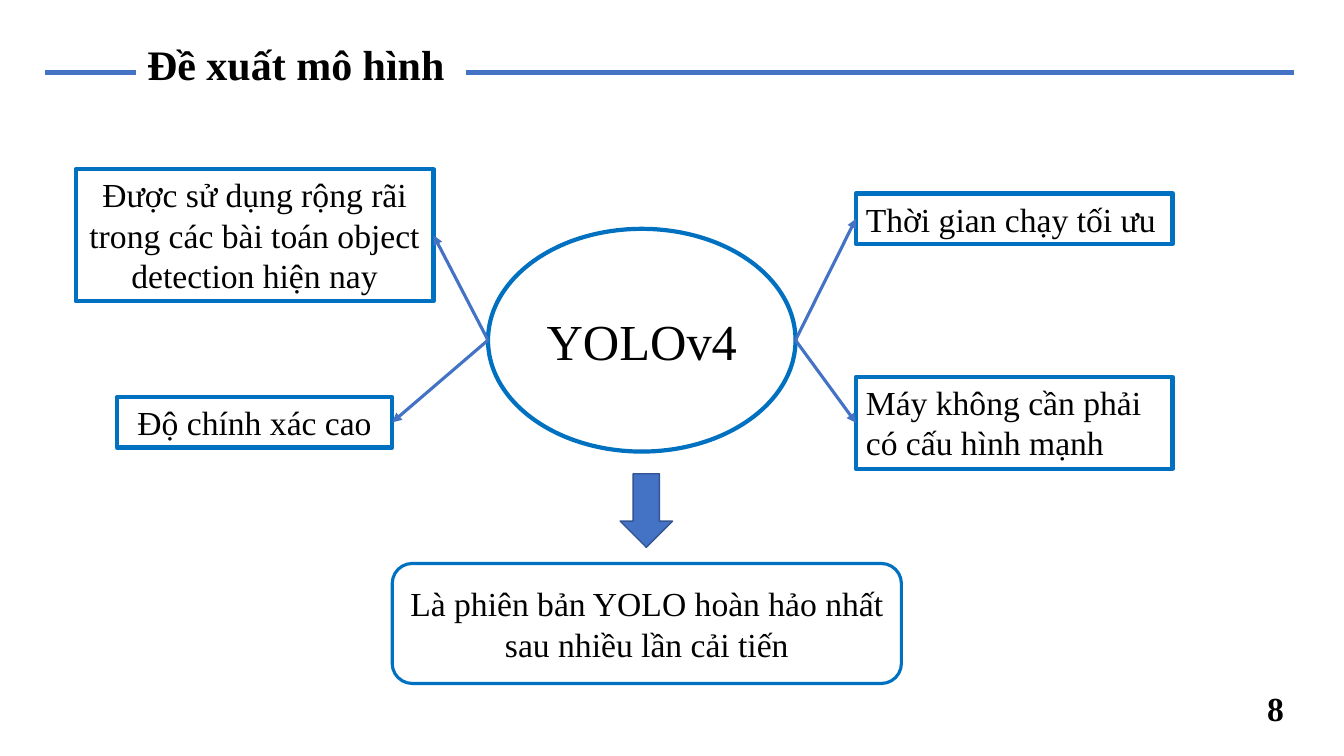
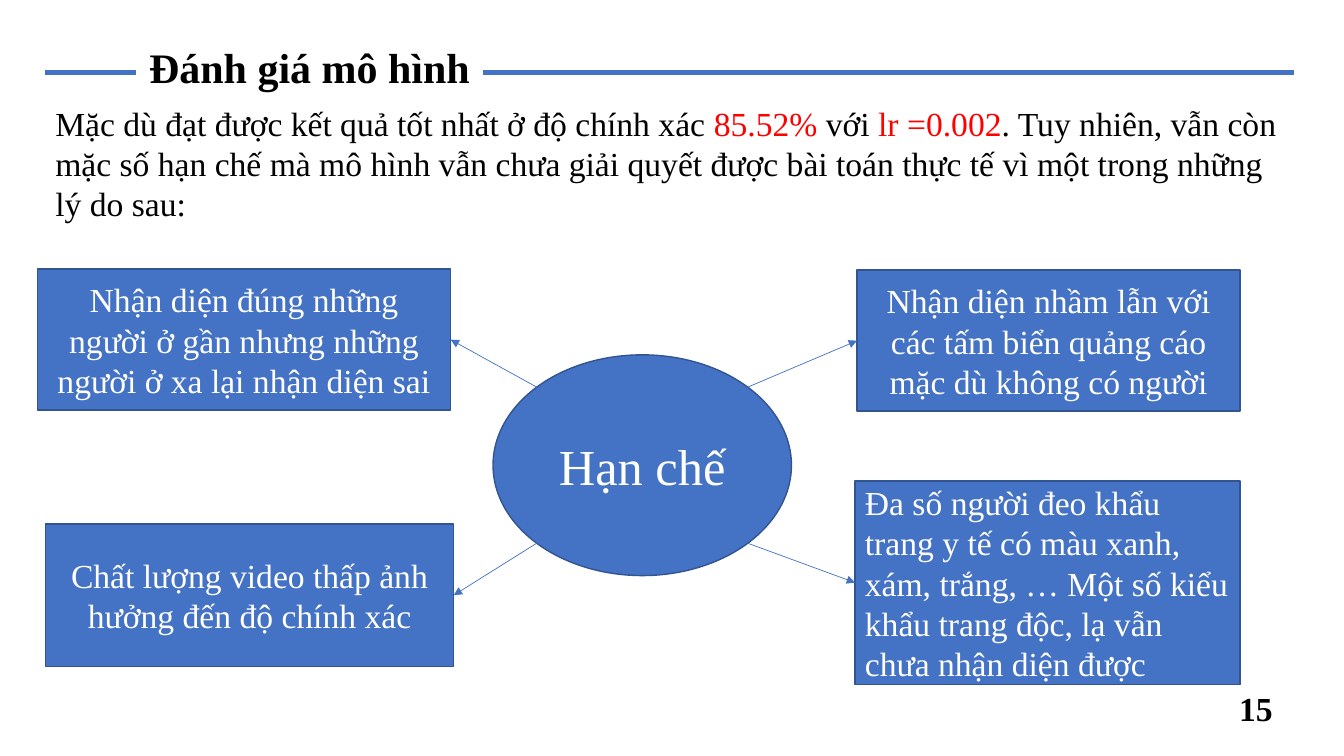
import math
from dataclasses import dataclass

from lxml import etree
from pptx import Presentation
from pptx import util as u
from pptx.dml.color import RGBColor
from pptx.enum import shapes, text
from pptx.oxml.ns import qn

SHAPE = shapes.MSO_SHAPE
ANCHOR = text.MSO_ANCHOR
ALIGN = text.PP_ALIGN


@dataclass(frozen=True)
class Theme:
    font: str = "Times New Roman"
    black: str = "000000"
    white: str = "FFFFFF"
    red: str = "FF0000"
    accent: str = "4472C4"
    edge: str = "325491"
    outline: str = "0070C0"
    title: int = 30
    body: int = 24
    hub: int = 36


T = Theme()
OUTLINED = {"fill": None, "line": T.outline, "width": 3, "color": T.black}
FILLED = {"fill": T.accent, "line": T.edge, "width": 1, "color": T.white}


def set_attrs(obj, values):
    for name, value in values.items():
        setattr(obj, name, value)


def write(sp, runs, size=T.body, color=T.black, bold=False,
          align=ALIGN.LEFT, anchor=ANCHOR.TOP, spacing=1.0):
    tf = sp.text_frame
    set_attrs(tf, {"word_wrap": True, "vertical_anchor": anchor,
                   "auto_size": text.MSO_AUTO_SIZE.NONE})
    p = tf.paragraphs[0]
    set_attrs(p, {"alignment": align, "line_spacing": spacing})
    for content, tint in ([(runs, color)] if isinstance(runs, str) else runs):
        r = p.add_run()
        r.text = content
        set_attrs(r.font, {"name": T.font, "size": u.Pt(size), "bold": bold})
        r.font.color.rgb = RGBColor.from_string(tint)


def add_text(s, box, runs, **fmt):
    sp = s.shapes.add_textbox(*map(u.Inches, box))
    write(sp, runs, **fmt)


def add_box(s, kind, box, look, content="", **fmt):
    sp = s.shapes.add_shape(kind, *map(u.Inches, box))
    sp.shadow.inherit = False
    if look["fill"]:
        sp.fill.solid()
        sp.fill.fore_color.rgb = RGBColor.from_string(look["fill"])
    else:
        sp.fill.background()
    sp.line.color.rgb = RGBColor.from_string(look["line"])
    sp.line.width = u.Pt(look["width"])
    if content:
        write(sp, content, **{"color": look["color"], "align": ALIGN.CENTER,
                              "anchor": ANCHOR.MIDDLE, **fmt})
    return sp


def add_line(s, start, end, width):
    cx = s.shapes.add_connector(shapes.MSO_CONNECTOR.STRAIGHT,
                                *map(u.Inches, (*start, *end)))
    cx.line.color.rgb = RGBColor.from_string(T.accent)
    cx.line.width = u.Pt(width)
    etree.SubElement(cx._element.spPr, qn("a:effectLst"))
    return cx


def add_arrow(s, start, target, side, width):
    cx = add_line(s, start, start, width)
    cx.end_connect(target, side)
    etree.SubElement(cx.line._get_or_add_ln(), qn("a:tailEnd"), type="triangle")


def add_hub(s, box, look, label, angle, width, left, right):
    add_box(s, SHAPE.OVAL, box, look, label, size=T.hub)
    x, y, w, h = box
    dx = w / 2 * math.cos(math.radians(angle))
    dy = h / 2 * math.sin(math.radians(angle))
    for direction, side, notes in ((-1, 3, left), (1, 1, right)):
        for vertical, (note_box, content, fmt) in zip((-1, 1), notes):
            sp = add_box(s, SHAPE.RECTANGLE, note_box, look, content, **fmt)
            start = (x + w / 2 + direction * dx, y + h / 2 + vertical * dy)
            add_arrow(s, start, sp, side, width)


def add_slide(prs, title, title_box, rule_start, number, number_box):
    s = prs.slides.add_slide(prs.slide_layouts.get_by_name("Title Only"))
    sp = s.shapes.title
    set_attrs(sp, dict(zip(("left", "top", "width", "height"),
                           map(u.Inches, title_box))))
    write(sp, title, size=T.title, bold=True, align=ALIGN.CENTER,
          anchor=ANCHOR.BOTTOM, spacing=0.9)
    for x1, x2 in ((0.45, 1.35), (rule_start, 12.83)):
        add_line(s, (x1, 0.72), (x2, 0.72), 3)
    add_text(s, number_box, number, bold=True)
    return s


def proposal_slide(prs):
    s = add_slide(prs, "Đề xuất mô hình", (1.16, 0.24, 3.55, 0.7), 4.62,
                  "8", (12.47, 6.78, 0.37, 0.5))
    top = {"anchor": ANCHOR.TOP}
    top_left = {**top, "align": ALIGN.LEFT}
    add_hub(s, (4.84, 2.27, 3.05, 2.21), OUTLINED, "YOLOv4", 0, 2.25,
            left=[((0.75, 1.68, 3.55, 1.31),
                   "Được sử dụng rộng rãi trong các bài toán object detection hiện nay", top),
                  ((1.16, 3.94, 2.73, 0.5), "Độ chính xác cao", top)],
            right=[((8.49, 1.92, 3.14, 0.5), "Thời gian chạy tối ưu", top_left),
                   ((8.49, 3.74, 3.14, 0.91),
                    "Máy không cần phải có cấu hình mạnh", top_left)])
    add_box(s, SHAPE.DOWN_ARROW, (6.15, 4.7, 0.52, 0.73), FILLED)
    add_box(s, SHAPE.ROUNDED_RECTANGLE, (3.89, 5.59, 5.05, 1.19),
            {**OUTLINED, "width": 2.25},
            "Là phiên bản YOLO hoàn hảo nhất sau nhiều lần cải tiến")


def evaluation_slide(prs):
    s = add_slide(prs, "Đánh giá mô hình", (1.35, 0.27, 3.44, 0.7), 4.79,
                  "15", (12.19, 6.78, 0.65, 0.5))
    add_text(s, (0.45, 0.97, 12.39, 1.31), [
        ("Mặc dù đạt được kết quả tốt nhất ở độ chính xác ", T.black),
        ("85.52% ", T.red),
        ("với ", T.black),
        ("lr =0.002", T.red),
        (". Tuy nhiên, vẫn còn mặc số hạn chế mà mô hình vẫn chưa giải quyết "
         "được bài toán thực tế vì một trong những lý do sau:", T.black)])
    add_hub(s, (4.89, 3.52, 2.96, 2.19), FILLED, "Hạn chế", 45, 0.5,
            left=[((0.37, 2.67, 4.1, 1.4),
                   "Nhận diện đúng những người ở gần nhưng những người ở xa "
                   "lại nhận diện sai", {}),
                  ((0.45, 5.2, 4.05, 1.41),
                   "Chất lượng video thấp ảnh hưởng đến độ chính xác", {})],
            right=[((8.5, 2.68, 3.8, 1.4),
                    "Nhận diện nhầm lẫn với các tấm biển quảng cáo mặc dù "
                    "không có người", {}),
                   ((8.48, 4.77, 3.82, 2.02),
                    "Đa số người đeo khẩu trang y tế có màu xanh, xám, trắng, … "
                    "Một số kiểu khẩu trang độc, lạ vẫn chưa nhận diện được",
                    {"align": ALIGN.LEFT})])


def main():
    prs = Presentation()
    set_attrs(prs, {"slide_width": u.Inches(13.33), "slide_height": u.Inches(7.5)})
    proposal_slide(prs)
    evaluation_slide(prs)
    prs.save("out.pptx")


if __name__ == "__main__":
    main()
